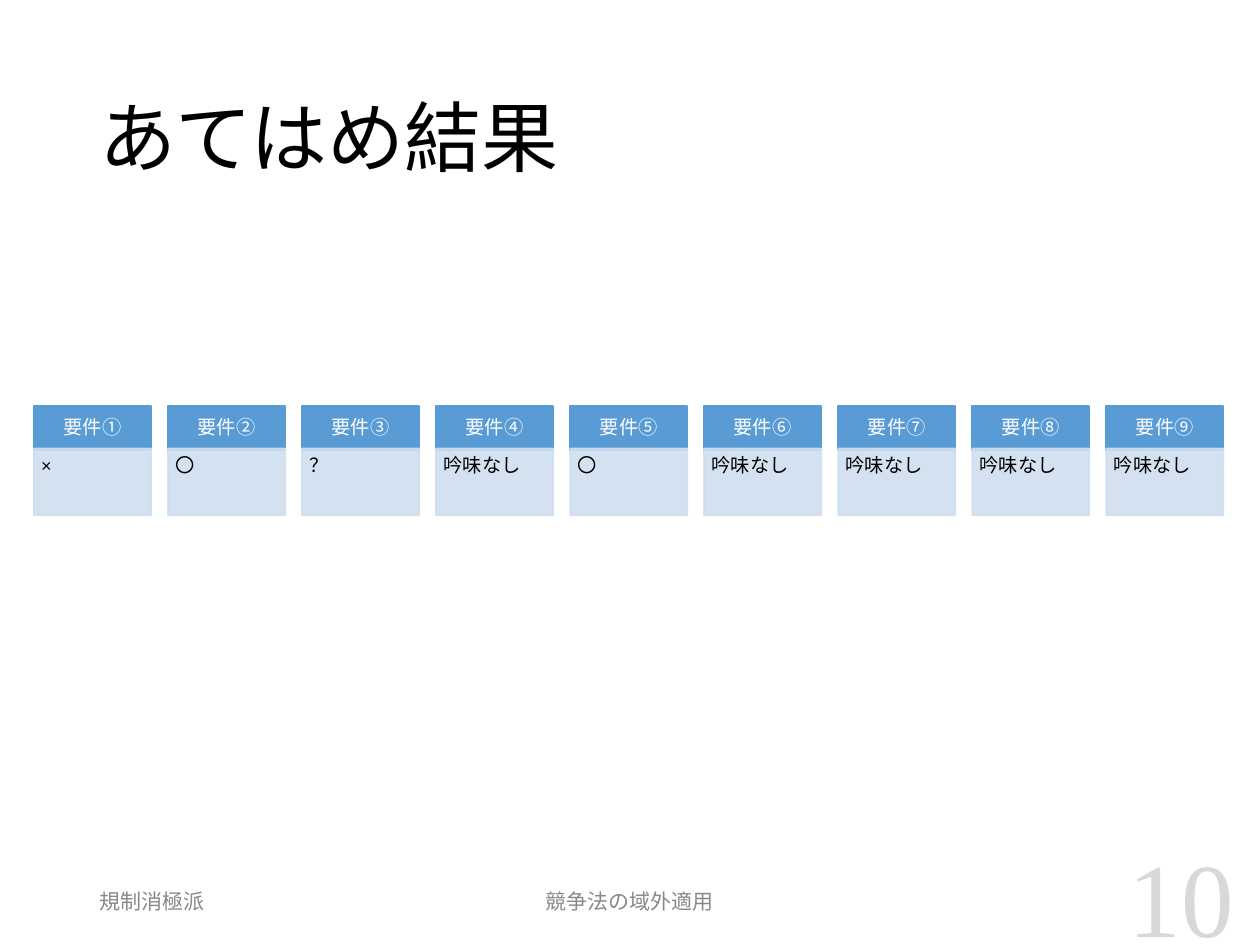
from dataclasses import dataclass

from lxml import etree
from pptx import Presentation
from pptx.dml.color import RGBColor
from pptx.enum.shapes import MSO_SHAPE
from pptx.enum.text import MSO_ANCHOR, PP_ALIGN
from pptx.oxml.ns import qn
from pptx.util import Inches, Pt

RECTANGLE = MSO_SHAPE.RECTANGLE
TOP, MIDDLE = MSO_ANCHOR.TOP, MSO_ANCHOR.MIDDLE
LEFT, CENTER, RIGHT = PP_ALIGN.LEFT, PP_ALIGN.CENTER, PP_ALIGN.RIGHT


@dataclass(frozen=True)
class Theme:
    font: str = "Calibri"
    number_font: str = "Times New Roman"
    black: str = "000000"
    white: str = "FFFFFF"
    footer: str = "888888"
    number: str = "D8D8D8"
    header_fill: str = "599BD5"
    result_fill: str = "CFDEEF"
    title_size: int = 44
    footer_size: int = 12
    number_size: int = 60
    card_size: int = 11


THEME = Theme()


@dataclass(frozen=True)
class TextStyle:
    size: int
    color: str
    font: str = THEME.font
    align: PP_ALIGN = LEFT
    anchor: MSO_ANCHOR = MIDDLE
    margins: tuple[float, float, float, float] = (0.1, 0.05, 0.1, 0.05)
    spacing: float = 1.0


@dataclass(frozen=True)
class CardPart:
    top: float
    height: float
    fill: str
    opacity: int
    style: TextStyle


@dataclass(frozen=True)
class FooterItem:
    text: str
    left: float
    top: float
    width: float
    style: TextStyle


TITLE_STYLE = TextStyle(THEME.title_size, THEME.black, spacing=0.9)
HEADER = CardPart(3.22, 0.35, THEME.header_fill, 100, TextStyle(
    THEME.card_size, THEME.white, align=CENTER,
    margins=(0.09, 0.05, 0.09, 0.05), spacing=0.9))
RESULT = CardPart(3.56, 0.53, THEME.result_fill, 90, TextStyle(
    THEME.card_size, THEME.black, anchor=TOP,
    margins=(0.06, 0.06, 0.09, 0.1), spacing=0.9))
FOOTERS = (
    FooterItem("規制消極派", 0.69, 6.95, 2.25,
               TextStyle(THEME.footer_size, THEME.footer)),
    FooterItem("競争法の域外適用", 3.31, 6.95, 3.37,
               TextStyle(THEME.footer_size, THEME.footer, align=CENTER)),
    FooterItem("10", 7.64, 6.91, 2.25,
               TextStyle(THEME.number_size, THEME.number,
                         THEME.number_font, RIGHT)),
)
FOOTER_HEIGHT = 0.4
UNTESTED = "吟味なし"
RESULTS = {
    "要件①": "×", "要件②": "〇", "要件③": "？",
    "要件④": UNTESTED, "要件⑤": "〇", "要件⑥": UNTESTED,
    "要件⑦": UNTESTED, "要件⑧": UNTESTED, "要件⑨": UNTESTED,
}
FIRST_LEFT, LAST_LEFT, CARD_WIDTH = 0.27, 8.78, 0.93
CARD_PITCH = (LAST_LEFT - FIRST_LEFT) / (len(RESULTS) - 1)


def apply_format(target: object, values: dict[str, object]) -> None:
    for name, value in values.items():
        setattr(target, name, value)


def write_text(box, text: str, style: TextStyle) -> None:
    frame = box.text_frame
    left, top, right, bottom = map(Inches, style.margins)
    apply_format(frame, {
        "word_wrap": True, "vertical_anchor": style.anchor,
        "margin_left": left, "margin_top": top,
        "margin_right": right, "margin_bottom": bottom,
    })
    para = frame.paragraphs[0]
    apply_format(para, {"alignment": style.align,
                        "line_spacing": style.spacing})
    span = para.add_run()
    span.text = text
    apply_format(span.font, {"name": style.font, "size": Pt(style.size)})
    span.font.color.rgb = RGBColor.from_string(style.color)


def add_card_part(page, left: float, part: CardPart, text: str) -> None:
    box = page.shapes.add_shape(
        RECTANGLE, Inches(left), Inches(part.top),
        Inches(CARD_WIDTH), Inches(part.height))
    box.shadow.inherit = False
    box.line.width = Pt(1)
    for fill in (box.fill, box.line.fill):
        fill.solid()
        fill.fore_color.rgb = RGBColor.from_string(part.fill)
    if part.opacity < 100:
        for color in box._element.spPr.iter(qn("a:srgbClr")):
            etree.SubElement(color, qn("a:alpha"),
                             val=str(part.opacity * 1000))
    write_text(box, text, part.style)


def add_footer(page, item: FooterItem) -> None:
    box = page.shapes.add_textbox(
        Inches(item.left), Inches(item.top),
        Inches(item.width), Inches(FOOTER_HEIGHT))
    write_text(box, item.text, item.style)


def build() -> None:
    deck = Presentation()
    apply_format(deck, {"slide_width": Inches(10),
                        "slide_height": Inches(7.5)})
    page = deck.slides.add_slide(deck.slide_layouts.get_by_name("Title Only"))
    title = page.shapes.title
    apply_format(title, {"left": Inches(0.69), "top": Inches(0.4),
                         "width": Inches(8.62), "height": Inches(1.45)})
    write_text(title, "あてはめ結果", TITLE_STYLE)
    for item in FOOTERS:
        add_footer(page, item)
    for index, (requirement, result) in enumerate(RESULTS.items()):
        left = FIRST_LEFT + index * CARD_PITCH
        add_card_part(page, left, HEADER, requirement)
        add_card_part(page, left, RESULT, result)
    deck.save("out.pptx")


build()
